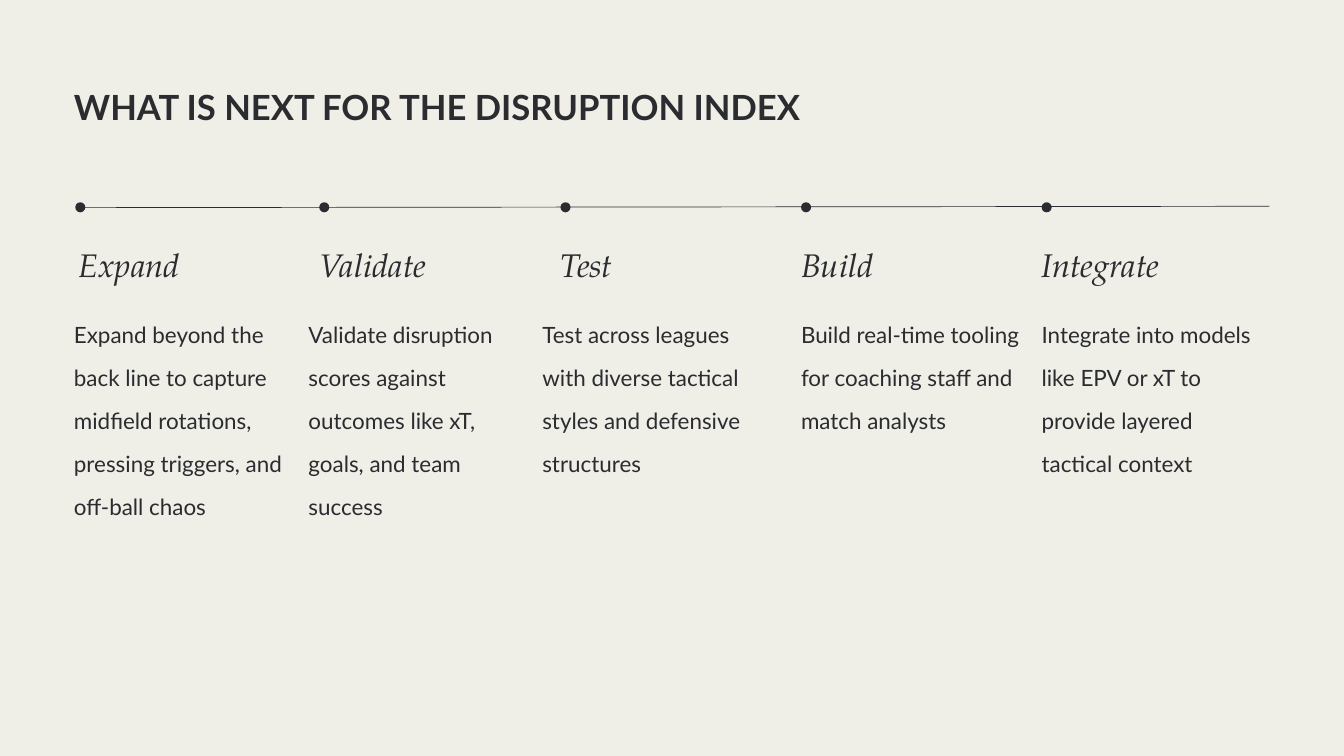
from dataclasses import dataclass

import pptx
import pptx.dml.color
import pptx.enum.shapes
import pptx.enum.text
import pptx.oxml
import pptx.oxml.ns
import pptx.presentation
import pptx.slide
import pptx.util

SCALE = 9144


@dataclass(frozen=True)
class Style:
    font: str
    size: float
    space: float
    bold: bool = False
    italic: bool = False


@dataclass(frozen=True)
class Theme:
    paper: str = "EFEEE7"
    ink: str = "2B2C30"
    rule: float = 0.75
    title: Style = Style("Lato", 37.1, 1.4, bold=True)
    head: Style = Style("TeX Gyre Pagella", 35, 1.2, italic=True)
    body: Style = Style("Lato", 24, 1.6)


@dataclass(frozen=True)
class Box:
    left: int
    top: int
    width: int
    height: int

    def emu(self) -> tuple[int, ...]:
        return tuple(px(n) for n in (self.left, self.top, self.width, self.height))


@dataclass(frozen=True)
class Stage:
    name: str
    text: str
    left: int
    height: int = 234
    nudge: int = 0


THEME = Theme()
FIRST, LAST = 117, 1550
STAGES = (
    Stage("Expand", "Expand beyond the back line to capture midfield rotations, "
          "pressing triggers, and off-ball chaos", 110, 299, -5),
    Stage("Validate", "Validate disruption scores against outcomes like xT, goals, "
          "and team success", 459, 299),
    Stage("Test", "Test across leagues with diverse tactical styles and defensive "
          "structures", 807),
    Stage("Build", "Build real-time tooling for coaching staff and match analysts", 1192),
    Stage("Integrate", "Integrate into models like EPV or xT to provide layered "
          "tactical context", 1550),
)


def px(count: int) -> int:
    return pptx.util.Emu(count * SCALE)


def color(code: str) -> pptx.dml.color.RGBColor:
    return pptx.dml.color.RGBColor.from_string(code)


def add_text(slide: pptx.slide.Slide, box: Box, text: str, style: Style) -> None:
    frame = slide.shapes.add_textbox(*box.emu()).text_frame
    frame.word_wrap = True
    frame.auto_size = pptx.enum.text.MSO_AUTO_SIZE.SHAPE_TO_FIT_TEXT
    frame.margin_left = frame.margin_top = 0
    frame.margin_right = frame.margin_bottom = 0
    line = frame.paragraphs[0]
    line.text = text
    line.line_spacing = style.space
    line.font.name = style.font
    line.font.size = pptx.util.Pt(style.size)
    line.font.bold = style.bold
    line.font.italic = style.italic
    line.font.color.rgb = color(THEME.ink)


def add_dot(slide: pptx.slide.Slide, box: Box) -> None:
    dot = slide.shapes.add_shape(pptx.enum.shapes.MSO_SHAPE.OVAL, *box.emu())
    dot.shadow.inherit = False
    dot.fill.solid()
    dot.fill.fore_color.rgb = color(THEME.ink)
    dot.line.fill.background()


def add_rule(slide: pptx.slide.Slide, start: tuple[int, int], end: tuple[int, int]) -> None:
    rule = slide.shapes.add_connector(
        pptx.enum.shapes.MSO_CONNECTOR.STRAIGHT, *map(px, start + end))
    rule.line.color.rgb = color(THEME.ink)
    rule.line.width = pptx.util.Pt(THEME.rule)
    props = rule.element.find(pptx.oxml.ns.qn("p:spPr"))
    props.append(pptx.oxml.parse_xml(
        f"<a:effectLst {pptx.oxml.ns.nsdecls('a')}/>"))


def add_stage(slide: pptx.slide.Slide, stage: Stage, left: int) -> None:
    add_dot(slide, Box(left + stage.nudge, 301, 15, 15))
    add_text(slide, Box(left, 352, 305, 59), stage.name, THEME.head)
    add_text(slide, Box(stage.left, 454, 338, stage.height), stage.text, THEME.body)


def main() -> None:
    deck = pptx.Presentation()
    deck.slide_width, deck.slide_height = px(2000), px(1125)
    slide = deck.slides.add_slide(deck.slide_layouts[6])
    slide.background.fill.solid()
    slide.background.fill.fore_color.rgb = color(THEME.paper)
    add_text(slide, Box(110, 103, 1775, 63),
             "WHAT IS NEXT FOR THE DISRUPTION INDEX", THEME.title)
    step = (LAST - FIRST) / (len(STAGES) - 1)
    for index, stage in enumerate(STAGES):
        add_stage(slide, stage, round(FIRST + index * step))
    add_rule(slide, (123, 309), (1889, 307))
    deck.save("out.pptx")


if __name__ == "__main__":
    main()
